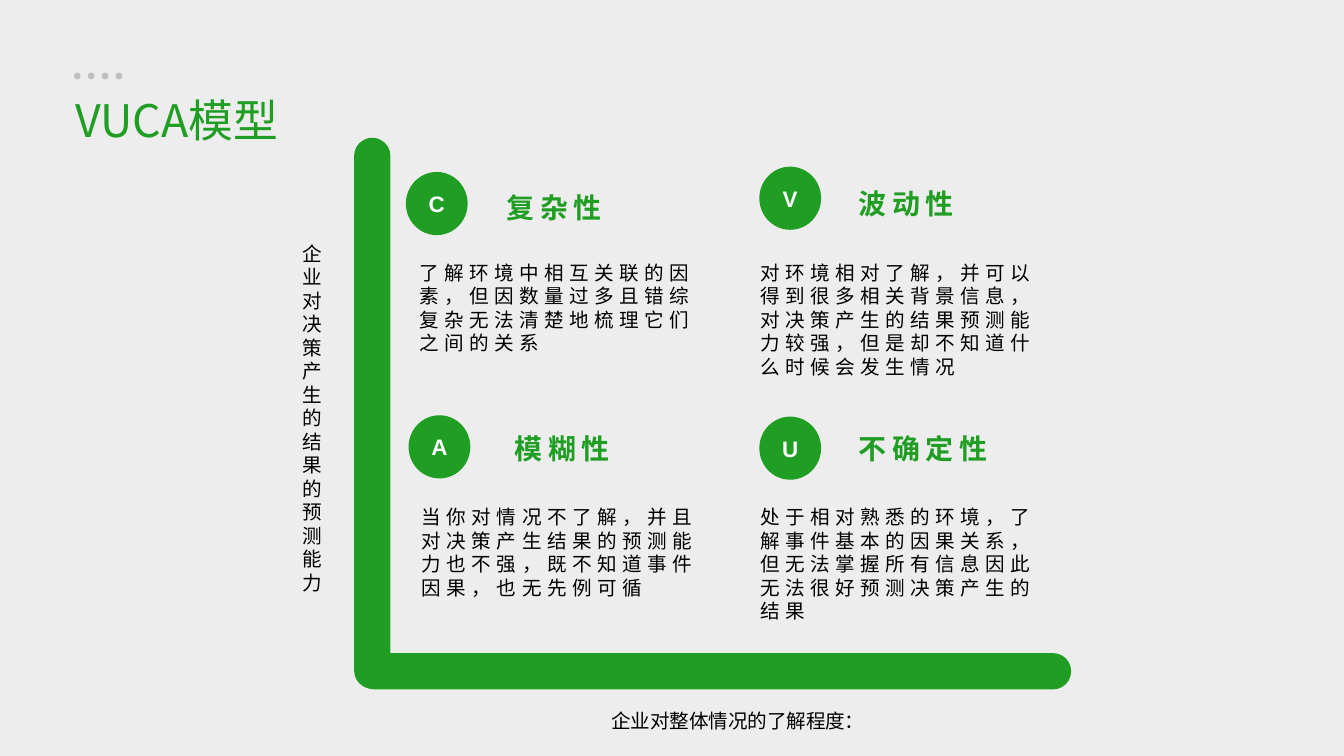
from pptx import Presentation
from pptx.dml.color import RGBColor
from pptx.enum.shapes import MSO_SHAPE as SHAPE
from pptx.enum.text import MSO_ANCHOR as ANCHOR, MSO_AUTO_SIZE as AUTO, PP_ALIGN as ALIGN
from pptx.oxml.ns import qn
from pptx.util import Inches, Pt
from lxml import etree

# Content: letter, circle (x, y), heading, heading (x, y, w), body, body (x, y, w, h)
TITLE = "VUCA模型"
Y_AXIS = "企业对决策产生的结果的预测能力"
X_AXIS = "企业对整体情况的了解程度："
QUADRANTS = [
    ("C", (3.02, 1.28), "复杂性", (3.67, 1.37, 0.95),
     "了解环境中相互关联的因素，但因数量过多且错综复杂无法清楚地梳理它们之间的关系",
     (3.02, 1.89, 2.37, 0.81)),
    ("V", (5.65, 1.24), "波动性", (6.29, 1.34, 0.95),
     "对环境相对了解，并可以得到很多相关背景信息，对决策产生的结果预测能力较强，但是却不知道什么时候会发生情况",
     (5.56, 1.89, 2.4, 0.98)),
    ("A", (3.04, 3.09), "模糊性", (3.73, 3.16, 0.95),
     "当你对情况不了解，并且对决策产生结果的预测能力也不强，既不知道事件因果，也无先例可循",
     (3.04, 3.71, 2.35, 0.81)),
    ("U", (5.65, 3.1), "不确定性", (6.29, 3.16, 1.2),
     "处于相对熟悉的环境，了解事件基本的因果关系，但无法掌握所有信息因此无法很好预测决策产生的结果",
     (5.56, 3.71, 2.4, 0.98)),
]
AXES = [((2.65, 4.86, 5.32, 0.27), 0), ((0.72, 2.94, 4.1, 0.27), 270)]  # box, rotation

THEME = {
    "bg": "EDEDED", "green": "1F9E23", "dot": "BFBFBF", "text": "000000", "white": "FFFFFF",
    "cjk": "Noto Sans CJK SC", "latin": "Arial",
    "title": 24, "heading": 15, "letter": 12, "body": 10.5, "spacing": 3,
}


def color(name):
    return RGBColor.from_string(THEME[name])


def style(p, size, fill, font="cjk", bold=False, spacing=0):
    f = p.font
    f.size, f.bold, f.name = Pt(THEME[size]), bold, THEME[font]
    f.color.rgb = color(fill)
    props = p._p.get_or_add_pPr().get_or_add_defRPr()
    etree.SubElement(props, qn("a:ea")).set("typeface", THEME[font])
    if spacing:
        props.set("spc", str(spacing * 100))


def add_shape(kind, box, fill):
    sp = slide.shapes.add_shape(kind, *map(Inches, box))
    sp.shadow.inherit = False
    sp.fill.solid()
    sp.fill.fore_color.rgb = color(fill)
    sp.line.fill.background()
    return sp


def add_text(text, box, size, fill="text", wrap=True, inset=None, **font):
    tf = slide.shapes.add_textbox(*map(Inches, box)).text_frame
    tf.word_wrap = wrap
    tf.auto_size = AUTO.SHAPE_TO_FIT_TEXT
    if inset is not None:
        tf.margin_left = tf.margin_right = tf.margin_top = tf.margin_bottom = Inches(inset)
        tf.vertical_anchor = ANCHOR.MIDDLE
    p = tf.paragraphs[0]
    p.text = text
    style(p, size, fill, **font)


# Widescreen 16:9 slide
prs = Presentation()
prs.slide_width = Inches(10)
prs.slide_height = prs.slide_width * 9 // 16
slide = prs.slides.add_slide(prs.slide_layouts[6])
slide.background.fill.solid()
slide.background.fill.fore_color.rgb = color("bg")

# Title with its row of dots
for i in range(4):
    add_shape(SHAPE.OVAL, (0.55 + i * 0.31 / 3, 0.54, 0.05, 0.05), "dot")
add_text(TITLE, (0.46, 0.64, 1.71, 0.5), "title", "green")

# Axes and their labels
for box, rotation in AXES:
    bar = add_shape(SHAPE.ROUNDED_RECTANGLE, box, "green")
    bar.adjustments[0] = 0.5
    bar.rotation = rotation
add_text(Y_AXIS, (2.21, 1.75, 0.15, 2.72), "body", inset=0.04)
add_text(X_AXIS, (4.51, 5.24, 2.23, 0.25), "body", inset=0.04)

# Quadrants
for letter, spot, heading, (x, y, w), body, body_box in QUADRANTS:
    tf = add_shape(SHAPE.OVAL, (*spot, 0.46, 0.47), "green").text_frame
    tf.vertical_anchor = ANCHOR.MIDDLE
    p = tf.paragraphs[0]
    p.text, p.alignment = letter, ALIGN.CENTER
    style(p, "letter", "white", font="latin", bold=True)
    add_text(heading, (x, y, w, 0.35), "heading", "green", wrap=False,
             bold=True, spacing=THEME["spacing"])
    add_text(body, body_box, "body", spacing=THEME["spacing"])

prs.save("out.pptx")
